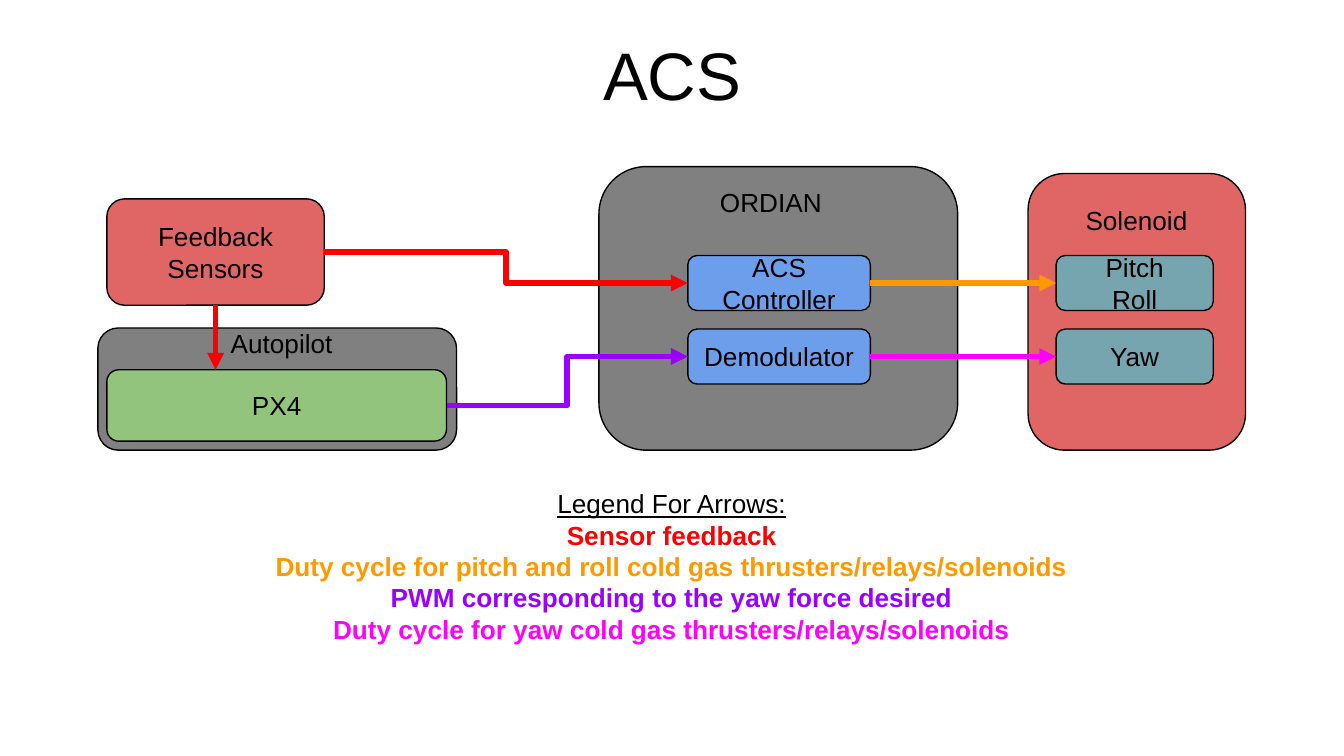
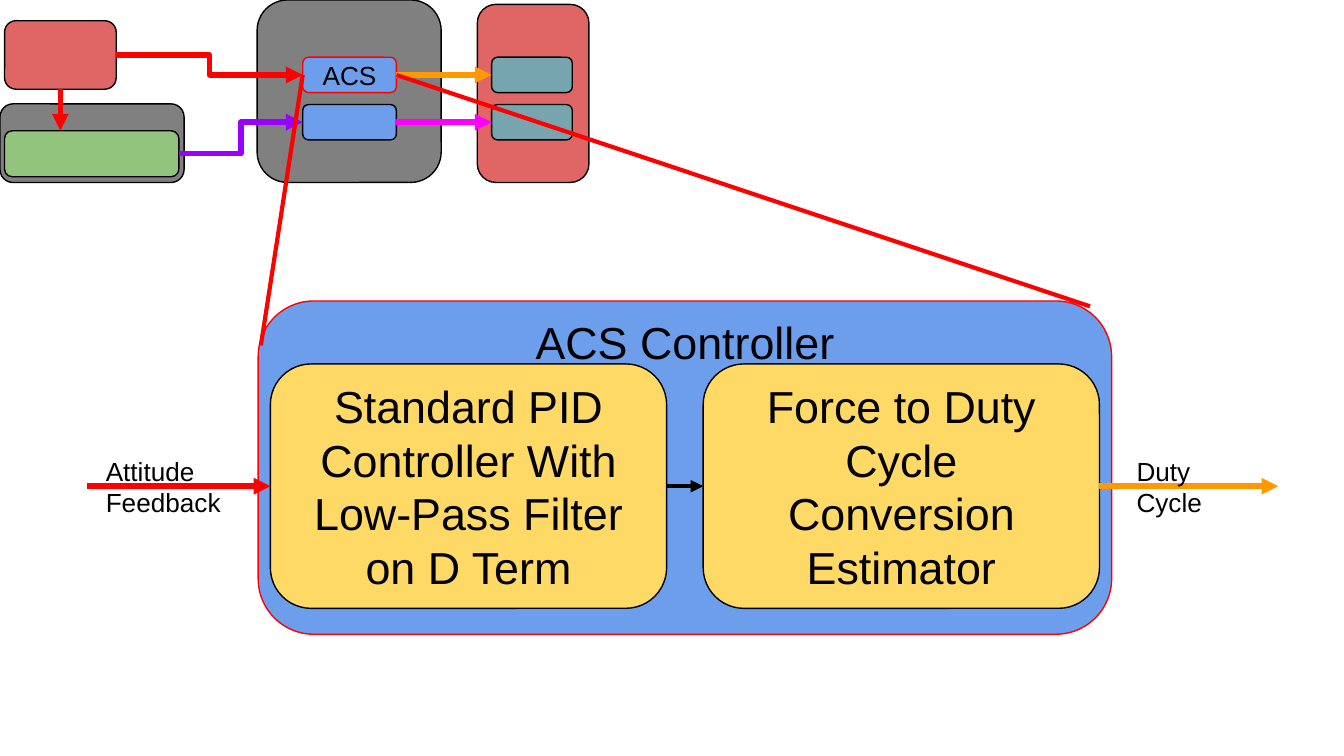
import pptx
import pptx.dml.color
import pptx.enum.shapes
import pptx.enum.text
import pptx.oxml
import pptx.oxml.ns
import pptx.util

Cm = pptx.util.Cm
Pt = pptx.util.Pt
CENTER = pptx.enum.text.PP_ALIGN.CENTER
LEFT = pptx.enum.text.PP_ALIGN.LEFT
MIDDLE = pptx.enum.text.MSO_ANCHOR.MIDDLE
TOP = pptx.enum.text.MSO_ANCHOR.TOP
ROUNDED = pptx.enum.shapes.MSO_SHAPE.ROUNDED_RECTANGLE
STRAIGHT = pptx.enum.shapes.MSO_CONNECTOR.STRAIGHT
ELBOW = pptx.enum.shapes.MSO_CONNECTOR.ELBOW

FONT = "Arial"
BLACK, GRAY, ROSE, GREEN = "000000", "808080", "E06666", "93C47D"
BLUE, TEAL, YELLOW = "6D9EEB", "76A5AF", "FFD966"
RED, ORANGE, PURPLE, MAGENTA = "FF0000", "FF9900", "9900FF", "FF00FF"

SYSTEM_SIZE = (21.69, 5.36)
SYSTEM_BLOCKS = {
    "autopilot": (0, 3.05, 6.78, 2.31, GRAY),
    "px4": (0.17, 3.84, 6.42, 1.35, GREEN),
    "sensors": (0.17, 0.61, 4.11, 2.01, ROSE),
    "computer": (9.47, 0, 6.78, 5.36, GRAY),
    "solenoid": (17.58, 0.13, 4.11, 5.23, ROSE),
    "controller": (11.15, 1.68, 3.45, 1.04, BLUE),
    "demodulator": (11.15, 3.07, 3.45, 1.04, BLUE),
    "pitch_roll": (18.11, 1.68, 2.97, 1.04, TEAL),
    "yaw": (18.11, 3.07, 2.97, 1.04, TEAL),
}
SIGNALS = [
    ("sensors", "controller", RED),
    ("px4", "demodulator", PURPLE),
    ("controller", "pitch_roll", ORANGE),
    ("demodulator", "yaw", MAGENTA),
]
LEGEND = [
    ("Sensor feedback", RED),
    ("Duty cycle for pitch and roll cold gas thrusters/relays/solenoids", ORANGE),
    ("PWM corresponding to the yaw force desired", PURPLE),
    ("Duty cycle for yaw cold gas thrusters/relays/solenoids", MAGENTA),
]


def rgb(color):
    """Turn a hex string into a colour."""
    return pptx.dml.color.RGBColor.from_string(color)


def add_run(paragraph, words, size=14, color=BLACK, bold=False, underline=False):
    """Append one formatted run."""
    run = paragraph.add_run()
    run.text = words
    run.font.name = FONT
    run.font.size = Pt(size)
    run.font.color.rgb = rgb(color)
    run.font.bold = bold
    run.font.underline = underline


def write(shape, lines, size=14, align=CENTER, anchor=MIDDLE):
    """Fill a shape with one paragraph per line, each a (words, format) pair."""
    frame = shape.text_frame
    frame.word_wrap = True
    frame.vertical_anchor = anchor
    frame.margin_left = frame.margin_right = Cm(0.25)
    frame.margin_top = frame.margin_bottom = Cm(0.25)
    for index, (words, style) in enumerate(lines):
        paragraph = frame.add_paragraph() if index else frame.paragraphs[0]
        paragraph.alignment = align
        add_run(paragraph, words, size, **style)


def plain(*lines):
    """Pair each line with the default format."""
    return [(words, {}) for words in lines]


def add_label(slide, box, lines, size=14, align=CENTER):
    """Place free text in a box given in centimetres."""
    label = slide.shapes.add_textbox(*map(Cm, box))
    write(label, lines, size, align, TOP)


def add_block(slide, box, fill, outline=BLACK, lines=(), size=14):
    """Place a rounded block in a box given in centimetres."""
    block = slide.shapes.add_shape(ROUNDED, *map(Cm, box))
    block.shadow.inherit = False
    block.fill.solid()
    block.fill.fore_color.rgb = rgb(fill)
    block.line.color.rgb = rgb(outline)
    block.line.width = Pt(0.75)
    if lines:
        write(block, lines, size)
    return block


def add_link(slide, start, end, color, width=3, kind=STRAIGHT, arrow=True):
    """Draw a line between two points given in centimetres."""
    link = slide.shapes.add_connector(kind, *map(Cm, (*start, *end)))
    link.line.color.rgb = rgb(color)
    link.line.width = Pt(width)
    if arrow:
        head = pptx.oxml.parse_xml(
            f'<a:tailEnd {pptx.oxml.ns.nsdecls("a")} type="triangle"/>')
        link.line._get_or_add_ln().append(head)
    effects = pptx.oxml.parse_xml(f'<a:effectLst {pptx.oxml.ns.nsdecls("a")}/>')
    link._element.spPr.append(effects)
    return link


def left_middle(box):
    """Return the middle of the left edge."""
    return box[0], box[1] + box[3] / 2


def right_middle(box):
    """Return the middle of the right edge."""
    return box[0] + box[2], box[1] + box[3] / 2


def draw_system(slide, box, texts, outlines):
    """Draw the block diagram scaled to a box and return its block boxes."""
    left, top, width, height = box
    across, down = width / SYSTEM_SIZE[0], height / SYSTEM_SIZE[1]
    places, blocks = {}, {}
    for part, (x, y, wide, tall, fill) in SYSTEM_BLOCKS.items():
        places[part] = (left + x * across, top + y * down, wide * across, tall * down)
        blocks[part] = add_block(slide, places[part], fill, outlines.get(part, BLACK),
                                 plain(*texts.get(part, ())))
    for source, target, color in SIGNALS:
        signal = add_link(slide, right_middle(places[source]),
                          left_middle(places[target]), color, kind=ELBOW)
        signal.begin_connect(blocks[source], 3)
        signal.end_connect(blocks[target], 1)
    x, y, wide, tall = places["sensors"]
    add_link(slide, (x + wide / 2, y + tall), (x + wide / 2, places["px4"][1]), RED)
    return places


def draw_legend(slide, box):
    """Write the arrow legend, each line in its arrow's colour."""
    entries = [(words, {"color": color, "bold": True}) for words, color in LEGEND]
    add_label(slide, box, [("Legend For Arrows:", {"underline": True})] + entries)


def draw_controller(slide, box):
    """Draw the enlarged controller with its stages, input and output."""
    left, top, width, height = box
    add_block(slide, box, BLUE, RED)
    add_label(slide, (left + 3.76, top, 8.61, 0.69), plain("ACS Controller"), 24)
    margin, stage_width, stage_height = 0.23, 7.49, 4.62
    pid = (left + margin, top + 1.19, stage_width, stage_height)
    estimator = (left + width - margin - stage_width, top + 1.19, stage_width, stage_height)
    for stage, words in (
        (pid, "Standard PID Controller With Low-Pass Filter on D Term"),
        (estimator, "Force to Duty Cycle Conversion Estimator"),
    ):
        add_block(slide, stage, YELLOW, lines=plain(words), size=24)
    entry, finish = left_middle(pid), right_middle(estimator)
    add_link(slide, right_middle(pid), left_middle(estimator), BLACK, 2.25)
    add_link(slide, (left - 3.23, entry[1]), entry, RED)
    add_link(slide, finish, (left + width + 3.15, finish[1]), ORANGE)
    for offset, words in ((-3.13, "Attitude Feedback"), (16.35, "Duty Cycle")):
        add_label(slide, (left + offset, top + 2.67, 2.87, 0.69), plain(words), align=LEFT)


def build_overview(slide):
    """Build the slide with the whole system."""
    left, top = 1.85, 3.15
    texts = {
        "px4": ["PX4"],
        "sensors": ["Feedback Sensors"],
        "controller": ["ACS Controller"],
        "demodulator": ["Demodulator"],
        "pitch_roll": ["Pitch", "Roll"],
        "yaw": ["Yaw"],
    }
    draw_system(slide, (left, top, *SYSTEM_SIZE), texts, {})
    for x, y, words, align in (
        (11.35, 0.13, "ORDIAN", CENTER),
        (18.26, 0.46, "Solenoid", CENTER),
        (2.26, 2.79, "Autopilot", LEFT),
    ):
        add_label(slide, (left + x, top + y, 2.74, 0.79), plain(words), align=align)
    draw_legend(slide, (left, 8.97, SYSTEM_SIZE[0], 3.38))
    add_label(slide, (5.54, 0.38, 14.33, 2.34), plain("ACS"), 36)


def build_detail(slide):
    """Build the slide that zooms in on the controller."""
    zoom = (4.88, 5.69, 16.13, 6.3)
    draw_controller(slide, zoom)
    places = draw_system(slide, (0, 0, 11.13, 3.45),
                         {"controller": ["ACS"]}, {"controller": RED})
    controller = places["controller"]
    for start, x, y in (
        (left_middle(controller), 0.05, 0.84),
        (right_middle(controller), 15.72, 0.1),
    ):
        add_link(slide, start, (zoom[0] + x, zoom[1] + y), RED, 2.25, arrow=False)


def main():
    """Build and save both slides."""
    deck = pptx.Presentation()
    deck.slide_width, deck.slide_height = Cm(25.4), Cm(14.29)
    for build in (build_overview, build_detail):
        build(deck.slides.add_slide(deck.slide_layouts[6]))
    deck.save("out.pptx")


if __name__ == "__main__":
    main()
